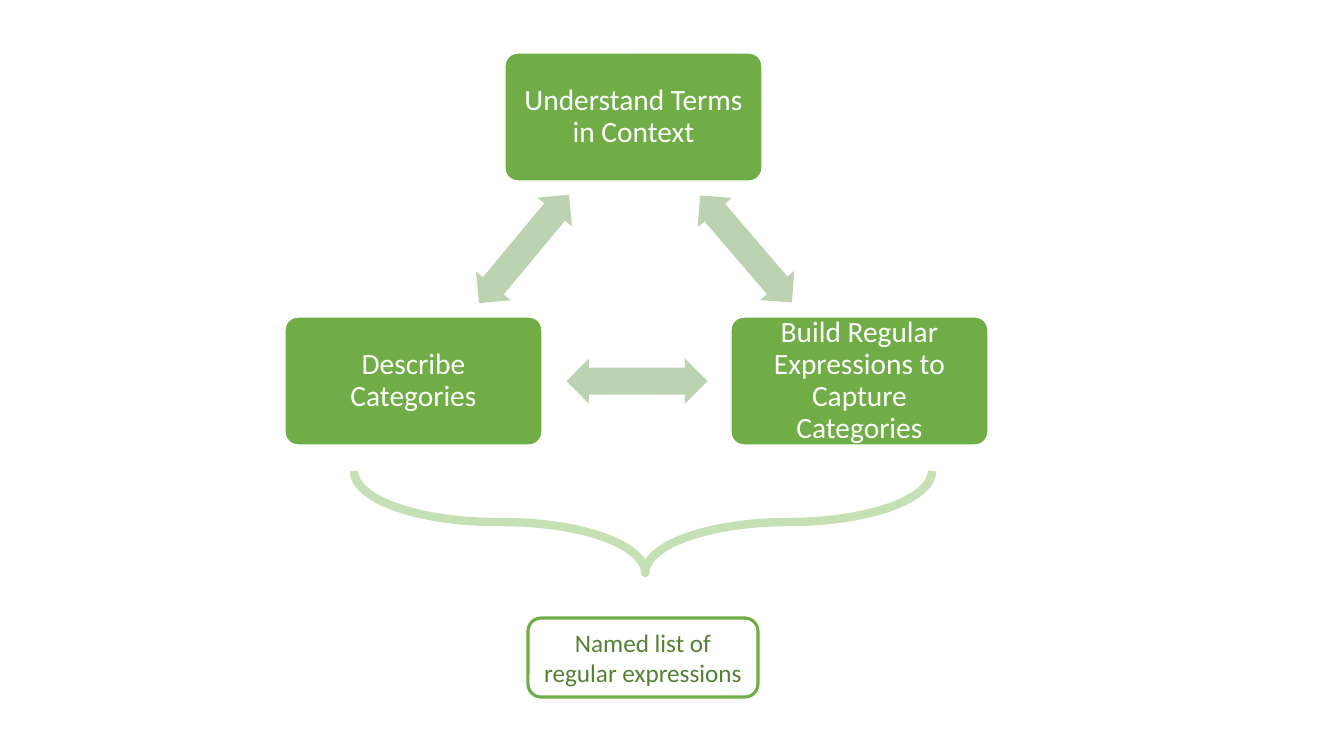
from dataclasses import dataclass

from pptx import Presentation
from pptx.dml.color import RGBColor
from pptx.enum.shapes import MSO_SHAPE
from pptx.enum.text import MSO_ANCHOR, PP_ALIGN
from pptx.util import Emu, Pt

ROUND_RECT = MSO_SHAPE.ROUNDED_RECTANGLE
DOUBLE_ARROW = MSO_SHAPE.LEFT_RIGHT_ARROW
BRACE = MSO_SHAPE.LEFT_BRACE
MIDDLE = MSO_ANCHOR.MIDDLE
CENTER = PP_ALIGN.CENTER

SLIDE_W, SLIDE_H = 1344, 756
EMU_PER_PX = 914400 / 100.8


@dataclass(frozen=True)
class Theme:
    """Colours, font and type sizes of the slide."""
    font: str = "Calibri"
    white: str = "FFFFFF"
    green: str = "70AD47"
    dark_green: str = "548235"
    arrow: str = "BBD3B1"
    brace: str = "C5E0B4"
    step_size: int = 21
    result_size: int = 18


def px(n):
    """Turn picture pixels into EMU."""
    return Emu(round(n * EMU_PER_PX))


def write(s, text, *, font, size, color, spacing=1.0, inset=(10, 5)):
    """Put centred, formatted text into a shape."""
    tf = s.text_frame
    tf.word_wrap = True
    tf.vertical_anchor = MIDDLE
    tf.margin_left = tf.margin_right = px(inset[0])
    tf.margin_top = tf.margin_bottom = px(inset[1])
    p = tf.paragraphs[0]
    p.alignment = CENTER
    p.line_spacing = spacing
    r = p.add_run()
    r.text = text
    r.font.name = font
    r.font.size = Pt(size)
    r.font.color.rgb = RGBColor.from_string(color)


class Diagram:
    """Draws the elements of one slide in one theme."""

    def __init__(self, slide, theme):
        """Keep the slide and its theme."""
        self.slide, self.theme = slide, theme

    def shape(self, kind, box, fill=None, line=None, width=1, adj=(), rot=0):
        """Add a preset shape; box is left, top, width, height."""
        s = self.slide.shapes.add_shape(kind, *map(px, box))
        s.shadow.inherit = False
        s.rotation = rot
        for i, value in enumerate(adj):
            s.adjustments[i] = value
        if fill:
            s.fill.solid()
            s.fill.fore_color.rgb = RGBColor.from_string(fill)
        else:
            s.fill.background()
        if line:
            s.line.color.rgb = RGBColor.from_string(line)
            s.line.width = Pt(width)
        else:
            s.line.fill.background()
        return s

    def step(self, text, left, top):
        """Add a green box for one step of the cycle."""
        t = self.theme
        s = self.shape(ROUND_RECT, (left, top, 257, 128), t.green, t.white, adj=(0.1,))
        write(s, text, font=t.font, size=t.step_size, color=t.white,
              spacing=0.9, inset=(13, 13))

    def arrow(self, cx, cy, rot):
        """Add a double arrow centred between two steps."""
        w, h = 141, 45
        self.shape(DOUBLE_ARROW, (cx - w / 2, cy - h / 2, w, h),
                   self.theme.arrow, adj=(0.6, 0.5), rot=rot)

    def brace(self, cx, cy, span, depth):
        """Add a brace that opens upwards over the given span."""
        self.shape(BRACE, (cx - depth / 2, cy - span / 2, depth, span),
                   line=self.theme.brace, width=6, adj=(1.413, 0.504), rot=270)

    def result(self, text, box):
        """Add the outlined box that names the result."""
        t = self.theme
        s = self.shape(ROUND_RECT, box, t.white, t.green, 2.25)
        write(s, text, font=t.font, size=t.result_size, color=t.dark_green)


STEPS = [
    ("Understand Terms in Context", 505, 53),
    ("Build Regular Expressions to Capture Categories", 731, 317),
    ("Describe Categories", 285, 317),
]
ARROWS = [(746, 249, 49.4), (637, 381, 180), (524, 249, 309.7)]


def main():
    """Build and save the slide."""
    prs = Presentation()
    prs.slide_width, prs.slide_height = px(SLIDE_W), px(SLIDE_H)
    blank = prs.slide_layouts[6]
    diagram = Diagram(prs.slides.add_slide(blank), Theme())
    for step in STEPS:
        diagram.step(*step)
    for arrow in ARROWS:
        diagram.arrow(*arrow)
    diagram.brace(643, 522, span=578, depth=102)
    diagram.result("Named list of regular expressions", (528, 618, 230, 79))
    prs.save("out.pptx")


main()
